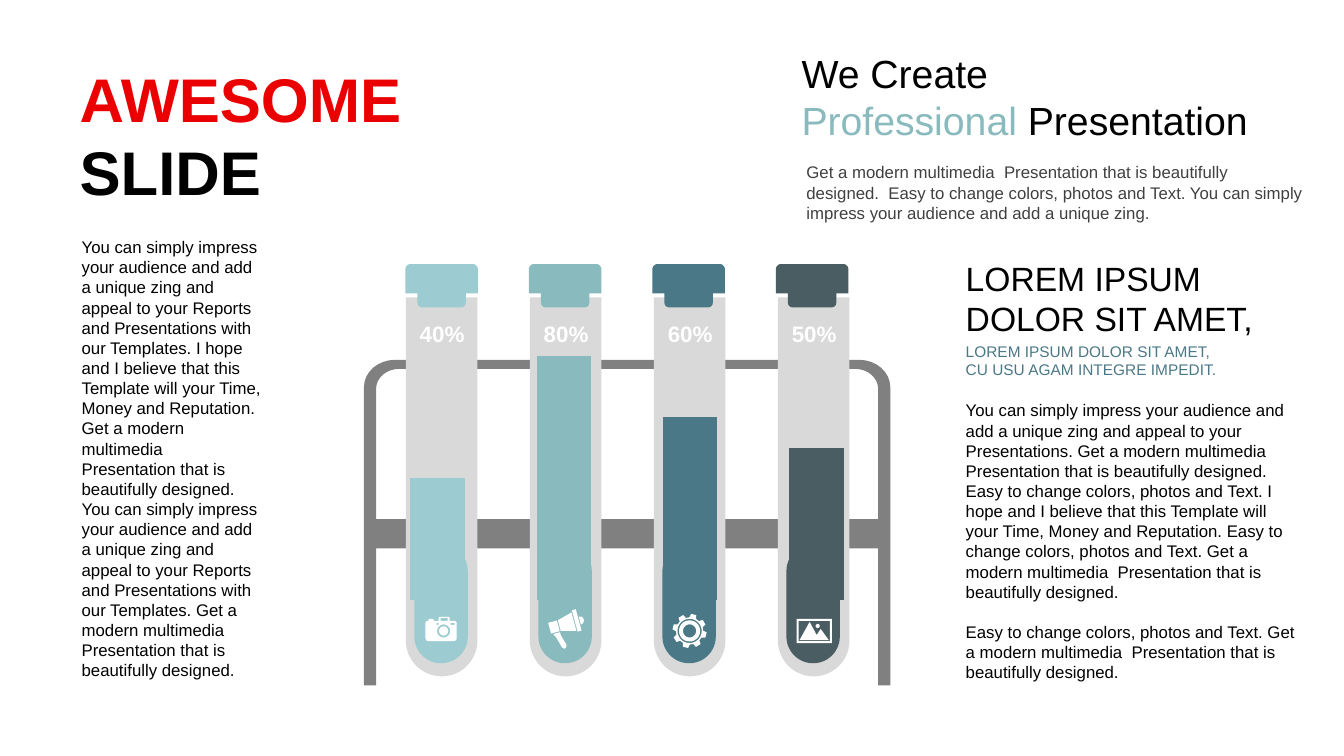
"""Build a slide with a test-tube rack whose liquid levels form a column chart."""
from math import cos, pi, sin

from pptx import Presentation
from pptx.chart.data import CategoryChartData
from pptx.dml.color import RGBColor
from pptx.enum.chart import XL_CHART_TYPE as ChartType
from pptx.enum.shapes import MSO_SHAPE as Preset
from pptx.enum.text import MSO_ANCHOR as Anchor, MSO_AUTO_SIZE as AutoSize, PP_ALIGN as Align
from pptx.oxml import parse_xml
from pptx.oxml.ns import nsdecls
from pptx.util import Inches, Pt

BLACK = RGBColor(0x00, 0x00, 0x00)
WHITE = RGBColor(0xFF, 0xFF, 0xFF)
RED = RGBColor(0xEA, 0x00, 0x00)
CHARCOAL = RGBColor(0x40, 0x40, 0x40)
RACK_GREY = RGBColor(0x80, 0x80, 0x80)
GLASS = RGBColor(0xD9, 0xD9, 0xD9)
SKY = RGBColor(0x9C, 0xCC, 0xD2)
TEAL = RGBColor(0x88, 0xBA, 0xBE)
OCEAN = RGBColor(0x4A, 0x78, 0x86)
SLATE = RGBColor(0x4A, 0x5D, 0x62)
TUBES = [("40%", 50, SKY), ("80%", 100, TEAL), ("60%", 75, OCEAN), ("50%", 62, SLATE)]
FIRST_TUBE, TUBE_PITCH, CAP_PITCH = 4.38, 1.23, 1.225

IMPRESS = "You can simply impress your audience and add a unique zing and appeal to your "
MODERN = "Get a modern multimedia  Presentation that is beautifully designed."
EASY = "Easy to change colors, photos and Text. "
HOPE = "I hope and I believe that this Template will your Time, Money and Reputation. "
REPORTS = IMPRESS + "Reports and Presentations with our Templates. "


class SlideBuilder:
    def __init__(self, presentation, font="Arial"):
        self.font = font
        self.slide = presentation.slides.add_slide(presentation.slide_layouts[5])
        self.shapes = self.slide.shapes

    def fill_text(self, box, paragraphs, size, bold=False, align=Align.LEFT,
                  anchor=Anchor.TOP, insets=(0.1, 0.05, 0.1, 0.05), gap=0):
        frame = box.text_frame
        frame.word_wrap = True
        frame.auto_size = AutoSize.SHAPE_TO_FIT_TEXT
        frame.vertical_anchor = anchor
        (frame.margin_left, frame.margin_top,
         frame.margin_right, frame.margin_bottom) = map(Inches, insets)
        for index, runs in enumerate(paragraphs):
            paragraph = frame.add_paragraph() if index else frame.paragraphs[0]
            paragraph.alignment = align
            paragraph.space_before = Pt(gap if index else 0)
            for text, color in runs:
                run = paragraph.add_run()
                run.text = text
                run.font.name, run.font.size, run.font.bold = self.font, Pt(size), bold
                run.font.color.rgb = color

    def title(self, area, paragraphs, size):
        box = self.slide.shapes.title
        box.left, box.top, box.width, box.height = map(Inches, area)
        self.fill_text(box, paragraphs, size, bold=True)

    def text(self, area, paragraphs, size, **style):
        box = self.shapes.add_textbox(*map(Inches, area))
        self.fill_text(box, paragraphs, size, **style)

    def paint(self, shape, color):
        shape.shadow.inherit = False
        shape.fill.solid()
        shape.fill.fore_color.rgb = color
        shape.line.fill.background()
        return shape

    def preset(self, kind, area, color, *adjustments):
        shape = self.shapes.add_shape(kind, *map(Inches, area))
        for index, value in enumerate(adjustments):
            shape.adjustments[index] = value
        return self.paint(shape, color)

    def outline(self, contours, color):
        builder = None
        for contour in contours:
            points = [(Inches(x), Inches(y)) for x, y in flatten(contour)]
            if builder is None:
                builder = self.shapes.build_freeform(*points[0], scale=1.0)
            else:
                builder.move_to(*points[0])
            builder.add_line_segments(points[1:], close=True)
        return self.paint(builder.convert_to_shape(), color)

    def tube(self, index, color):
        center, cap_center = FIRST_TUBE + TUBE_PITCH * index, FIRST_TUBE + CAP_PITCH * index
        self.shapes = self.slide.shapes.add_group_shape().shapes
        glass = self.preset(Preset.ROUND_2_SAME_RECTANGLE,
                            (center - 0.355, 2.95, 0.71, 3.76), GLASS, 0.5, 0)
        glass.rotation = 180
        self.preset(Preset.ROUNDED_RECTANGLE, (center - 0.27, 5.4, 0.53, 1.18), color, 0.5)
        right_half = [(0.31, 2.62), (0.34, 2.62, 0.36, 2.65, 0.36, 2.67), (0.36, 2.91),
                      (0.24, 2.91), (0.24, 3), (0.24, 3.03, 0.22, 3.05, 0.19, 3.05)]
        half = flatten(right_half)
        cap = half + [(-x, y) for x, y in reversed(half)]
        self.outline([[(cap_center + x, y) for x, y in cap]], color)
        self.shapes = self.slide.shapes

    def level_chart(self, area):
        data = CategoryChartData()
        data.categories = [str(number + 1) for number in range(len(TUBES))]
        data.add_series("Series 1", [level for _, level, _ in TUBES])
        chart = self.shapes.add_chart(ChartType.COLUMN_CLUSTERED, *map(Inches, area), data).chart
        chart.has_legend = chart.has_title = False
        chart.font.name, chart.font.size = self.font, Pt(10)
        chart.font.color.rgb = BLACK
        chart.category_axis.visible = chart.value_axis.visible = False
        chart.value_axis.has_major_gridlines = False
        chart.value_axis.minimum_scale, chart.value_axis.maximum_scale = 0, 100
        plot = chart.plots[0]
        plot.gap_width, plot.overlap, plot.vary_by_categories = 132, 100, False
        series = plot.series[0]
        series.format.fill.solid()
        series.format.fill.fore_color.rgb = SLATE
        for index, (_, _, color) in enumerate(TUBES):
            fill = series.points[index].format.fill
            fill.solid()
            fill.fore_color.rgb = color
        plot_area = chart.element.xpath("c:chart/c:plotArea")[0]
        for layout in plot_area.xpath("c:layout"):
            plot_area.remove(layout)
        places = "".join(f'<c:{name} val="{value}"/>' for name, value in
                         [("layoutTarget", "inner"), ("xMode", "edge"), ("yMode", "edge"),
                          ("x", 0.02), ("y", 0.12), ("w", 0.96), ("h", 0.86)])
        plot_area.insert(0, parse_xml(f'<c:layout {nsdecls("c")}><c:manualLayout>{places}'
                                      '</c:manualLayout></c:layout>'))


def flatten(contour, steps=8):
    points = []
    for item in contour:
        if len(item) == 2:
            points.append(item)
            continue
        x0, y0 = points[-1]
        x1, y1, x2, y2, x3, y3 = item
        for step in range(1, steps + 1):
            t = step / steps
            a, b, c, d = (1 - t) ** 3, 3 * t * (1 - t) ** 2, 3 * t * t * (1 - t), t ** 3
            points.append((a * x0 + b * x1 + c * x2 + d * x3, a * y0 + b * y1 + c * y2 + d * y3))
    return points


def box(left, top, right, bottom):
    return [(left, top), (right, top), (right, bottom), (left, bottom)]


def polar(x, y, radius, degrees):
    return x + radius * sin(degrees * pi / 180), y - radius * cos(degrees * pi / 180)


def ring(x, y, radius):
    return [polar(x, y, radius, angle) for angle in range(0, 360, 10)]


def draw_icons(builder):
    horn = [[(5.55, 6.25), (5.55, 6.28), (5.58, 6.39), (5.57, 6.41), (5.55, 6.42),
             (5.53, 6.4), (5.5, 6.29), (5.48, 6.25)],
            [(5.77, 6.15), (5.79, 6.15, 5.81, 6.16, 5.81, 6.19),
             (5.81, 6.21, 5.79, 6.23, 5.77, 6.23)],
            box(5.46, 6.13, 5.55, 6.24),
            [(5.71, 6.09), (5.71, 6.28), (5.56, 6.24), (5.56, 6.13)],
            box(5.72, 6.07, 5.76, 6.29)]
    builder.outline(horn, WHITE).rotation = -15
    camera = [(4.36, 6.12), (4.45, 6.12), (4.46, 6.13), (4.46, 6.16), (4.5, 6.16),
              (4.52, 6.16, 4.53, 6.17, 4.53, 6.18), (4.53, 6.33),
              (4.53, 6.34, 4.52, 6.36, 4.5, 6.36), (4.24, 6.36),
              (4.23, 6.36, 4.22, 6.34, 4.22, 6.33), (4.22, 6.18),
              (4.22, 6.17, 4.23, 6.16, 4.24, 6.16), (4.25, 6.16), (4.25, 6.14),
              (4.3, 6.14), (4.3, 6.16), (4.35, 6.16), (4.35, 6.13)]
    builder.outline([camera, ring(4.4, 6.26, 0.065), ring(4.4, 6.26, 0.045),
                     box(4.33, 6.18, 4.35, 6.2), box(4.47, 6.18, 4.51, 6.2),
                     box(4.37, 6.13, 4.44, 6.16)], WHITE)
    mountains = [(8.03, 6.17), (8.1, 6.3), (8.14, 6.24), (8.22, 6.35), (7.93, 6.35)]
    builder.outline([box(7.9, 6.14, 8.25, 6.38), box(7.92, 6.16, 8.23, 6.36),
                     mountains, ring(8.11, 6.21, 0.02)], WHITE)
    teeth = [polar(6.84, 6.26, radius, 14 + 45 * tooth + offset) for tooth in range(8)
             for radius, offset in [(0.135, -15), (0.17, -9), (0.17, 9), (0.135, 15)]]
    builder.outline([teeth] + [ring(6.84, 6.26, radius) for radius in (0.12, 0.105, 0.065)], WHITE)


def main():
    presentation = Presentation()
    presentation.slide_width, presentation.slide_height = Inches(13.33), Inches(7.5)
    builder = SlideBuilder(presentation)
    builder.title((0.69, 0.55, 3.81, 1.58), [[("AWESOME", RED)], [("SLIDE", BLACK)]], 44)
    builder.text((9.48, 3.34, 3.55, 0.47), [[("LOREM IPSUM DOLOR SIT AMET,", OCEAN)],
                 [("CU USU AGAM INTEGRE IMPEDIT.", OCEAN)]], 11, anchor=Anchor.MIDDLE)
    builder.text((9.48, 2.5, 3.55, 0.91), [[("LOREM IPSUM", BLACK)],
                 [("DOLOR SIT AMET,", BLACK)]], 24, anchor=Anchor.MIDDLE)
    window = [(3.96, 3.66), (3.83, 3.66, 3.73, 3.75, 3.73, 3.86), (3.73, 5.15), (8.71, 5.15),
              (8.71, 3.86), (8.71, 3.75, 8.61, 3.66, 8.48, 3.66)]
    frame = [(3.92, 3.57), (8.52, 3.57), (8.69, 3.57, 8.83, 3.69, 8.83, 3.84), (8.83, 6.8),
             (8.71, 6.8), (8.71, 5.44), (3.73, 5.44), (3.73, 6.8), (3.61, 6.8), (3.61, 3.84),
             (3.61, 3.69, 3.75, 3.57, 3.92, 3.57)]
    builder.outline([window, frame], RACK_GREY)
    for index, (label, _, color) in enumerate(TUBES):
        builder.tube(index, color)
        builder.text((3.97 + TUBE_PITCH * index, 3.12, 0.83, 0.37), [[(label, WHITE)]], 16,
                     bold=True, align=Align.CENTER, anchor=Anchor.MIDDLE)
    builder.level_chart((3.61, 3.19, 5.22, 2.82))
    draw_icons(builder)
    builder.text((0.69, 2.3, 2.07, 4.54), [[(REPORTS + HOPE + MODERN + " " + REPORTS + MODERN,
                 BLACK)]], 12, insets=(0.12, 0.05, 0.12, 0.05))
    builder.text((7.9, 0.49, 5.13, 0.94), [[("We Create", BLACK)], [("Professional", TEAL),
                 (" Presentation", BLACK)]], 28, insets=(0.05, 0, 0.03, 0))
    builder.text((7.9, 1.56, 5.13, 0.71), [[(MODERN + "  " + EASY + "You can simply impress "
                 "your audience and add a unique zing.", CHARCOAL)]], 12)
    builder.text((9.48, 3.92, 3.55, 2.93), [[(IMPRESS + "Presentations. " + MODERN + " " + EASY
                 + HOPE + EASY + MODERN, BLACK)], [(EASY + MODERN, BLACK)]], 12, gap=14)
    presentation.save("out.pptx")


if __name__ == "__main__":
    main()
